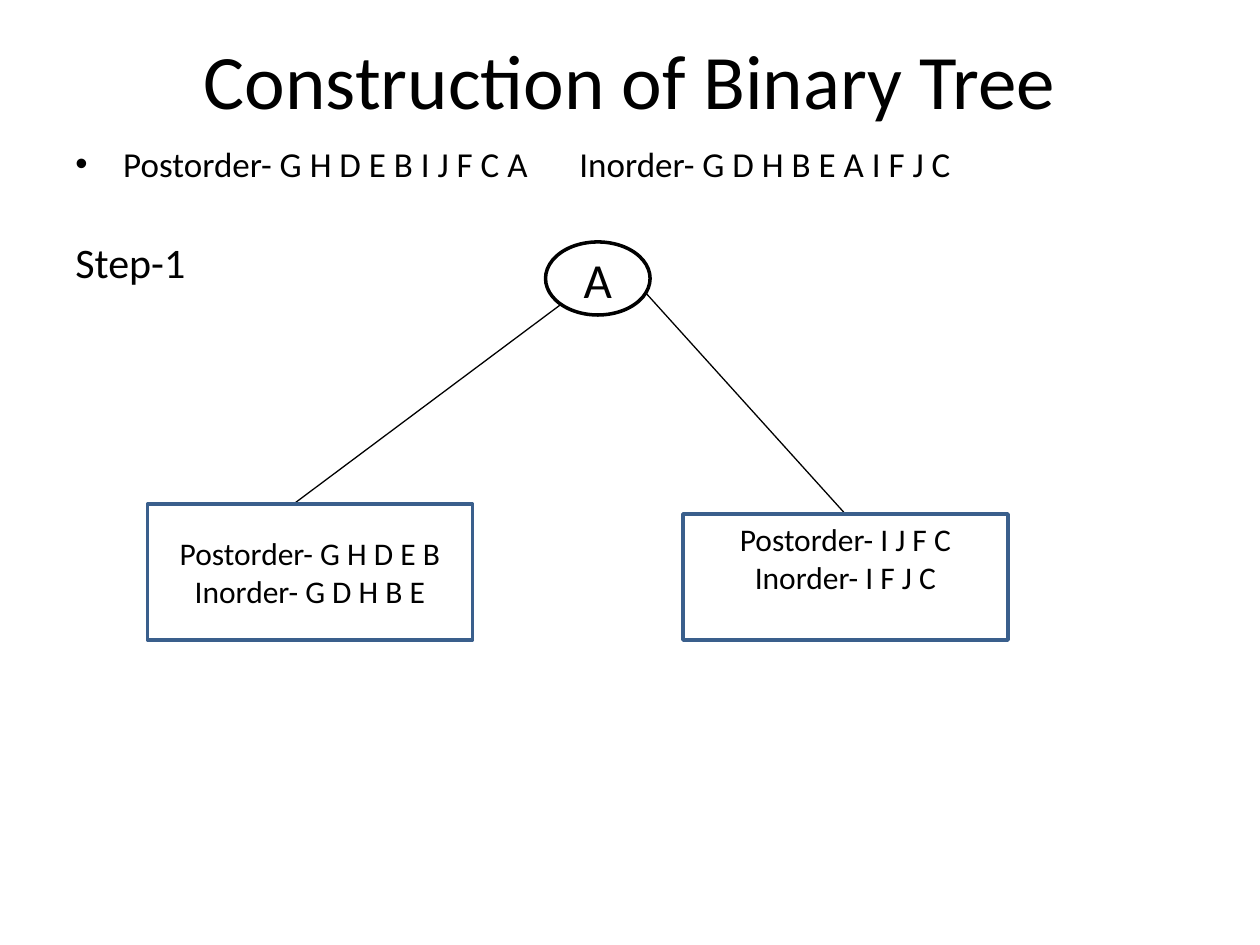
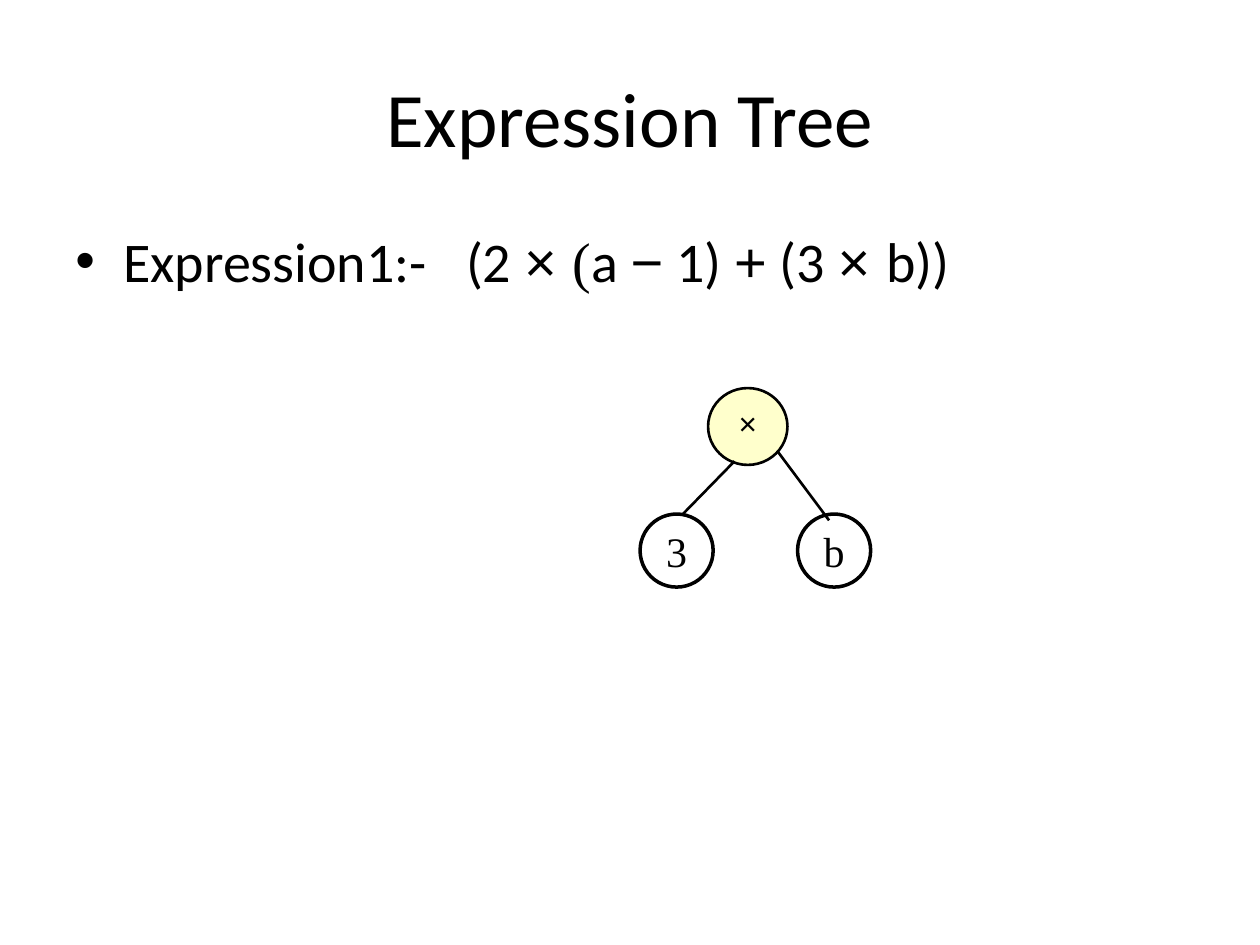
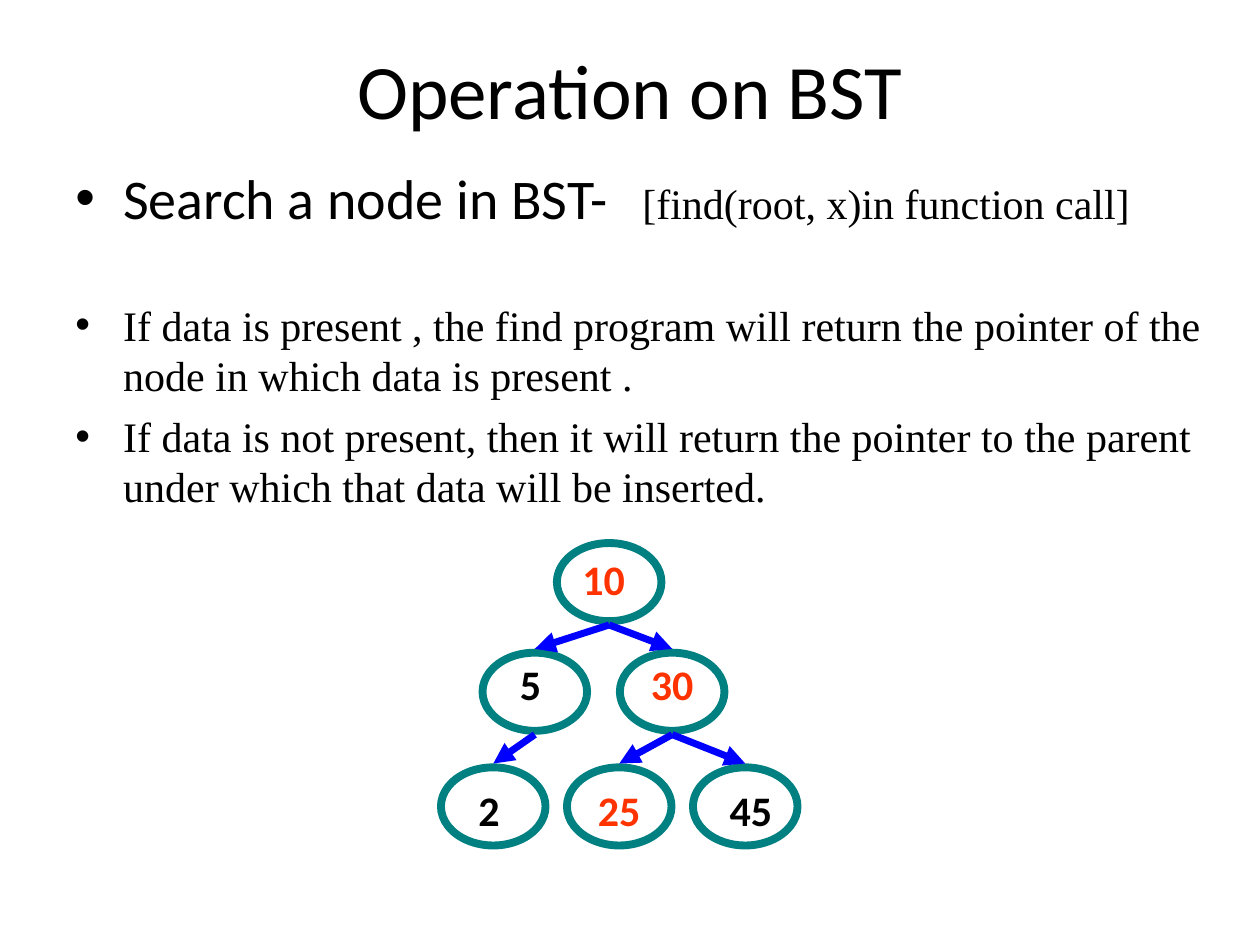
from lxml.etree import SubElement
from pptx import Presentation
from pptx.dml.color import RGBColor
from pptx.enum.shapes import MSO_CONNECTOR, MSO_SHAPE
from pptx.enum.text import MSO_ANCHOR, PP_ALIGN
from pptx.oxml.ns import qn
from pptx.util import Inches, Pt

COLORS = {"black": "000000", "box": "3A5F8C", "cream": "FFFFCC",
          "teal": "008080", "blue": "0000FF", "red": "FF3300"}
BODY, SERIF, SYMBOL = "Calibri", "Times New Roman", "Arial"
TITLE_SIZE = 44


def add_item(s, kind, box, paras=(), size=18, font=BODY, color="black", bold=False,
             line=None, width=2, fill=None, align=PP_ALIGN.CENTER,
             anchor=MSO_ANCHOR.MIDDLE, wrap=True, insets=(0.1, 0.05, 0.1, 0.05),
             bullet=False, gaps=()):
    """Add a preset shape, or a text box when kind is None; a run is (text, font, size)."""
    box = [Inches(v) for v in box]
    if kind is None:
        sp = s.shapes.add_textbox(*box)
    else:
        sp = s.shapes.add_shape(kind, *box)
        sp.shadow.inherit = False
        sp.line.color.rgb = RGBColor.from_string(COLORS[line])
        sp.line.width = Pt(width)
        if fill:
            sp.fill.solid()
            sp.fill.fore_color.rgb = RGBColor.from_string(COLORS[fill])
        else:
            sp.fill.background()
    tf = sp.text_frame
    tf.word_wrap = wrap
    tf.vertical_anchor = anchor
    tf.margin_left, tf.margin_top, tf.margin_right, tf.margin_bottom = map(Inches, insets)
    for i, runs in enumerate(paras):
        p = tf.paragraphs[0] if i == 0 else tf.add_paragraph()
        p.alignment = align
        if i and gaps:
            p.space_before = Pt(gaps[i - 1])
        if bullet:
            pPr = p._p.get_or_add_pPr()
            pPr.set("marL", str(Inches(0.38)))
            pPr.set("indent", str(Inches(-0.38)))
            SubElement(pPr, qn("a:buFont")).set("typeface", SYMBOL)
            SubElement(pPr, qn("a:buChar")).set("char", "•")
        if isinstance(runs, str):
            runs = [(runs, font, size)]
        for text, run_font, run_size in runs:
            r = p.add_run()
            r.text = text
            r.font.name = run_font
            r.font.size = Pt(run_size)
            r.font.bold = bold
            r.font.color.rgb = RGBColor.from_string(COLORS[color])
    return sp


def add_line(s, start, end, width, color="black", arrow=False):
    ln = s.shapes.add_connector(MSO_CONNECTOR.STRAIGHT, *map(Inches, start + end))
    ln.line.color.rgb = RGBColor.from_string(COLORS[color])
    ln.line.width = Pt(width)
    if arrow:
        SubElement(ln.line._get_or_add_ln(), qn("a:tailEnd")).set("type", "triangle")
    SubElement(ln._element.spPr, qn("a:effectLst"))
    return ln


prs = Presentation()
prs.slide_width, prs.slide_height = Inches(10), Inches(7.5)

# Slides with their titles and bulleted text
pages = [
    ("Construction of Binary Tree", 0, (0.5, 1.08, 9, 0.58), (), [
        [("Postorder- G H D E B I J F C A \tInorder- G D H B E A I F J C", BODY, 20)]]),
    ("Expression Tree", 0.3, (0.5, 1.75, 9, 4.95), (), [
        [("Expression1:-\t (2 ", BODY, 32), ("× ", SYMBOL, 32), ("(", SERIF, 32),
         ("a ", BODY, 32), ("−", SYMBOL, 32), (" 1) ", BODY, 32), ("+", SYMBOL, 32),
         (" (3 ", BODY, 32), ("× ", SYMBOL, 32), ("b))", BODY, 32)]]),
    ("Operation on BST", 0.08, (0.5, 1.25, 9.33, 3.08), (39, 6), [
        [("Search a node in BST-\t", BODY, 32),
         ("[find(root, x)in function call]", SERIF, 24)],
        [("If data is present , the find program will return the pointer of the node "
          "in which data is present .", SERIF, 24)],
        [("If data is not present, then it will return the pointer to the parent under "
          "which that data will be inserted.", SERIF, 24)]]),
]
slides = []
for title, top, body_box, gaps, paras in pages:
    s = prs.slides.add_slide(prs.slide_layouts[6])
    add_item(s, None, (0.5, top, 9, 1.25), [title], TITLE_SIZE)
    add_item(s, None, body_box, paras, align=PP_ALIGN.LEFT, anchor=MSO_ANCHOR.TOP,
             bullet=True, gaps=gaps)
    slides.append(s)
construction, expression, search = slides

# Construction: root and its two subtrees
s = construction
add_item(s, None, (0.5, 1.83, 1.08, 0.5), ["Step-1"], 24, align=PP_ALIGN.LEFT,
         anchor=MSO_ANCHOR.TOP, wrap=False)
add_item(s, MSO_SHAPE.OVAL, (4.33, 1.92, 0.83, 0.58), ["A"], 28, line="black")
add_line(s, (4.46, 2.41), (2.33, 4), 0.75)
right_edge = add_line(s, (5.13, 2.33), (6.71, 4.08), 0.75)
add_item(s, MSO_SHAPE.RECTANGLE, (1.17, 4, 2.58, 1.08),
         ["Postorder- G H D E B", "Inorder- G D H B E"], line="box")
right_box = add_item(s, MSO_SHAPE.RECTANGLE, (5.42, 4.08, 2.58, 1),
                     ["Postorder- I J F C", "Inorder- I F J C"], line="box",
                     anchor=MSO_ANCHOR.TOP)
right_edge.end_connect(right_box, 0)

# Expression: operator with two operands
s = expression
add_item(s, MSO_SHAPE.OVAL, (5.62, 3.08, 0.63, 0.61), ["×"], font=SYMBOL, line="black",
         width=1.5, fill="cream", wrap=False, insets=(0, 0, 0, 0.05))
for operand, left, start, end in [("b", 6.33, (6.58, 4.13), (6.17, 3.58)),
                                  ("3", 5.08, (5.42, 4.08), (5.83, 3.66))]:
    add_line(s, start, end, 1.5)
    add_item(s, MSO_SHAPE.OVAL, (left, 4.08, 0.58, 0.58), [operand], 24, SERIF,
             line="black")

# Search tree: value -> oval left, oval top, label left, label top, label width, colour
s = search
NODE_W, NODE_H, GAP = 0.83, 0.62, 0.03
nodes = {
    "10": (4.42, 4.31, 4.5, 4.34, 0.58, "red"),
    "5": (3.83, 5.18, 4, 5.18, 0.42, "black"),
    "30": (4.92, 5.18, 5, 5.18, 0.67, "red"),
    "2": (3.5, 6.09, 3.67, 6.18, 0.42, "black"),
    "25": (4.5, 6.09, 4.58, 6.18, 0.67, "red"),
    "45": (5.5, 6.09, 5.67, 6.18, 0.58, "black"),
}
for left, top, *label in nodes.values():
    add_item(s, MSO_SHAPE.OVAL, (left, top, NODE_W, NODE_H), line="teal", width=4.5)
for parent, child in [("5", "2"), ("30", "25"), ("10", "30"), ("10", "5"), ("30", "45")]:
    (px, py), (cx, cy) = nodes[parent][:2], nodes[child][:2]
    add_line(s, (px + NODE_W / 2, py + NODE_H + GAP), (cx + NODE_W / 2, cy - GAP),
             4, "blue", arrow=True)
for value, (left, top, label_x, label_y, label_w, color) in nodes.items():
    add_item(s, None, (label_x, label_y, label_w, 0.5), [value], 24, color=color,
             bold=True, anchor=MSO_ANCHOR.TOP)

prs.save("out.pptx")
